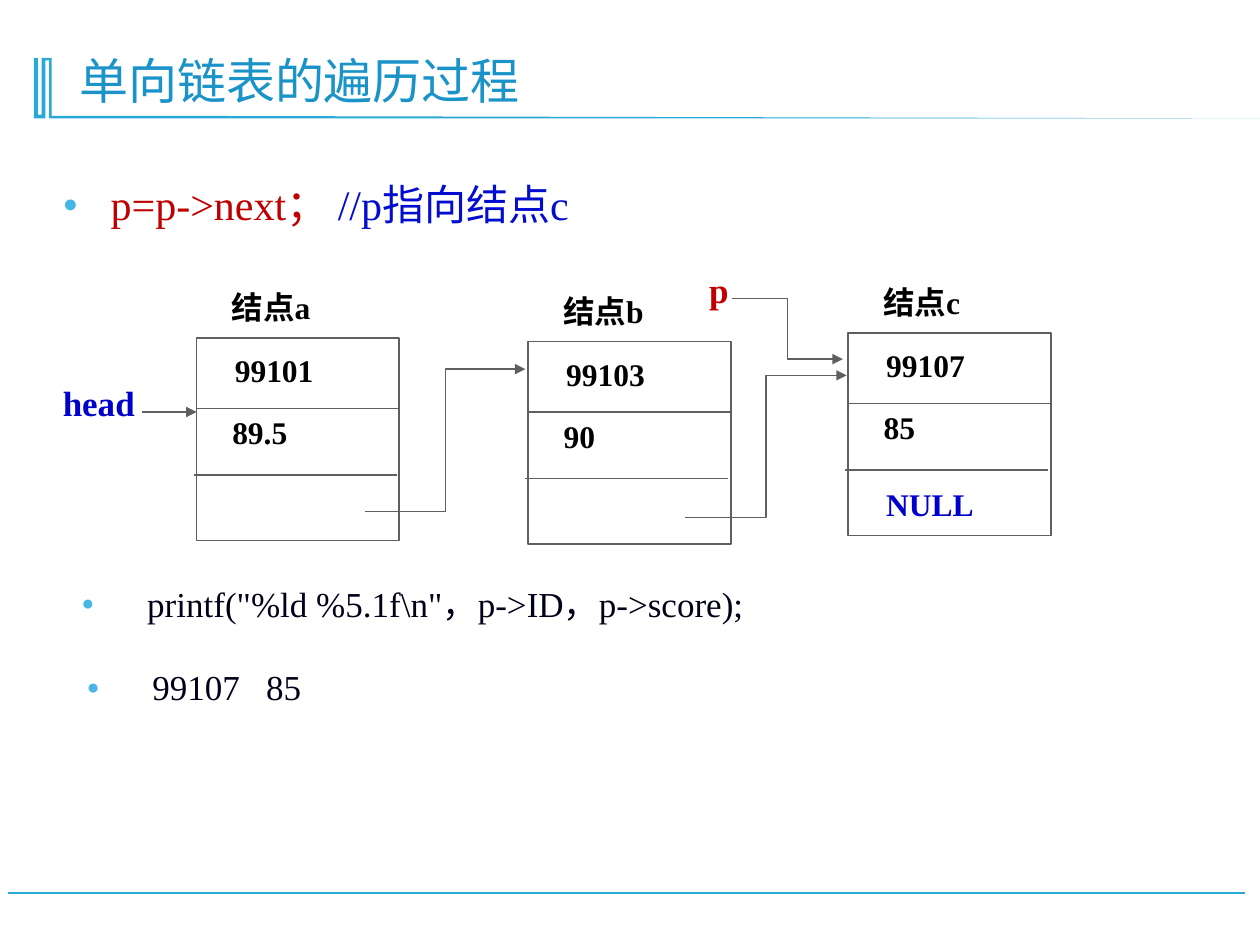
from lxml.etree import SubElement
from pptx import Presentation
from pptx.dml.color import RGBColor
from pptx.enum.shapes import MSO_CONNECTOR, MSO_SHAPE
from pptx.enum.text import MSO_ANCHOR, PP_ALIGN
from pptx.oxml.ns import qn
from pptx.util import Emu, Inches, Pt

COLS, ROWS = 100, 75
WIDE, HIGH = Inches(10), Inches(7.5)
FACE = "Times New Roman"
CYAN, GREY, BLACK = "28A9D6", "5F5F5F", "000000"
BLUE, RED, INK = "0000CC", "C00000", "000118"
SIDE = 16.1


def col(num):
    return Emu(round(num * WIDE / COLS))


def row(num):
    return Emu(round(num * HIGH / ROWS))


def area(left, top, width, height):
    return col(left), row(top), col(width), row(height)


def tint(code):
    return RGBColor.from_string(code)


def write(para, text, size, color, bold=False, track=0):
    run = para.add_run()
    run.text = text
    run.font.name = FACE
    run.font.size = Pt(size)
    run.font.bold = bold
    run.font.color.rgb = tint(color)
    if track:
        run.font._element.set("spc", str(track))


def add_text(shapes, place, indent=0):
    frame = shapes.add_textbox(*area(*place)).text_frame
    frame.word_wrap = True
    para = frame.paragraphs[0]
    para._p.get_or_add_pPr().set("marL", str(col(indent)))
    return para


def add_label(shapes, place, text, size, color=BLACK, indent=0):
    write(add_text(shapes, place, indent), text, size, color, True)


def add_bullet(shapes, place, hang, runs):
    para = add_text(shapes, place, hang)
    props = para._p.get_or_add_pPr()
    props.set("indent", str(-col(hang)))
    hue = SubElement(props, qn("a:buClr"))
    SubElement(hue, qn("a:srgbClr"), val="47B6E7")
    SubElement(props, qn("a:buSzPct"), val="60000")
    SubElement(props, qn("a:buFont"), typeface=FACE)
    SubElement(props, qn("a:buChar"), char="●")
    para.line_spacing = 0.9
    for run in runs:
        write(para, *run)


def add_line(shapes, start, end, color=GREY, width=0.75,
             kind=MSO_CONNECTOR.STRAIGHT, arrow=False):
    line = shapes.add_connector(kind, col(start[0]), row(start[1]),
                                col(end[0]), row(end[1]))
    line.line.color.rgb = tint(color)
    line.line.width = Pt(width)
    if arrow:
        SubElement(line.line._get_or_add_ln(), qn("a:tailEnd"), type="triangle")
    SubElement(line._element.spPr, qn("a:effectLst"))


def add_node(slide, left, top, name, code, score, last=""):
    shapes = slide.shapes.add_group_shape().shapes
    box = shapes.add_shape(MSO_SHAPE.RECTANGLE, *area(left, top, SIDE, SIDE))
    box.shadow.inherit = False
    box.fill.solid()
    box.fill.fore_color.rgb = tint("FFFFFF")
    box.line.color.rgb = tint(GREY)
    box.line.width = Pt(1)
    for shift, drop in ((0, 5.6), (-0.2, 10.9)):
        start = left + shift
        add_line(shapes, (start, top + drop), (start + SIDE, top + drop))
    add_label(shapes, (left, top - 4.4, SIDE, 4), name, 18, indent=1.8)
    for shift, drop, text, color in ((0.8, 0.6, code, BLACK),
                                     (0.6, 5.5, score, BLACK),
                                     (0.8, 11.6, last, BLUE)):
        if text:
            place = (left + shift, top + drop, 14.4, 3.8)
            add_label(shapes, place, text, 18, color, 1.25)


def add_frame(slide):
    add_line(slide.shapes, (98.8, 70.9), (0.6, 70.9), CYAN, 1.25)
    marks = [(4.1, 4.6), (4.1, 9.2), (14, 9.2), (COLS, 9.4), (3.9, 9.4),
             (3.9, 4.8), (3.6, 4.8), (3.6, 9.4), (2.7, 9.4), (2.7, 4.6),
             (3, 4.6), (3, 9.1), (3.3, 9.1), (3.3, 4.6)]
    points = [(col(x), row(y)) for x, y in marks]
    build = slide.shapes.build_freeform(*points[0])
    build.add_line_segments(points[1:], close=True)
    trim = build.convert_to_shape()
    trim.shadow.inherit = False
    trim.fill.solid()
    trim.fill.fore_color.rgb = tint(CYAN)
    trim.line.fill.background()


def set_title(slide, text):
    title = slide.shapes.title
    title.left, title.top, title.width, title.height = area(5.3, 2.8, 88.5, 6.4)
    title.text_frame.vertical_anchor = MSO_ANCHOR.BOTTOM
    para = title.text_frame.paragraphs[0]
    para.alignment = PP_ALIGN.LEFT
    para.line_spacing = 0.9
    write(para, text, 28, "1A93C8")


def main():
    deck = Presentation()
    deck.slide_width, deck.slide_height = WIDE, HIGH
    slide = deck.slides.add_slide(deck.slide_layouts[5])
    shapes = slide.shapes
    add_frame(slide)
    set_title(slide, "单向链表的遍历过程")
    add_bullet(shapes, (4, 14.1, 88.5, 6.1), 3.8,
               [("p=p->next；", 24, RED), (" //p指向结点c", 24, "030DCD")])
    add_label(shapes, (4, 29.8, 9.3, 4.4), "head", 20, BLUE)
    add_node(slide, 15.6, 26.8, "结点a", "99101", "89.5")
    add_node(slide, 41.9, 27.1, "结点b", "99103", "90")
    add_node(slide, 67.3, 26.4, "结点c", "99107", "85", "NULL")
    add_label(shapes, (55.3, 20.8, 10.7, 4.4), "p", 20, RED)
    add_line(shapes, (11.3, 32.7), (15.6, 32.7), arrow=True)
    for start, end in (((29, 40.6), (41.7, 29.3)),
                       ((54.4, 41.1), (67.2, 29.8)),
                       ((58.1, 23.7), (66.9, 28.5))):
        add_line(shapes, start, end, kind=MSO_CONNECTOR.ELBOW, arrow=True)
    add_bullet(shapes, (5.5, 46.1, 88.5, 5.1), 5.2,
               [('printf("%ld %5.1f\\n"，p->ID，p->score);', 20, INK)])
    add_bullet(shapes, (5.9, 52.7, 88.5, 4.8), 5.2,
               [("99107", 20, INK), (" ", 20, INK, False, 1000),
                ("85", 20, INK)])
    deck.save("out.pptx")


if __name__ == "__main__":
    main()
